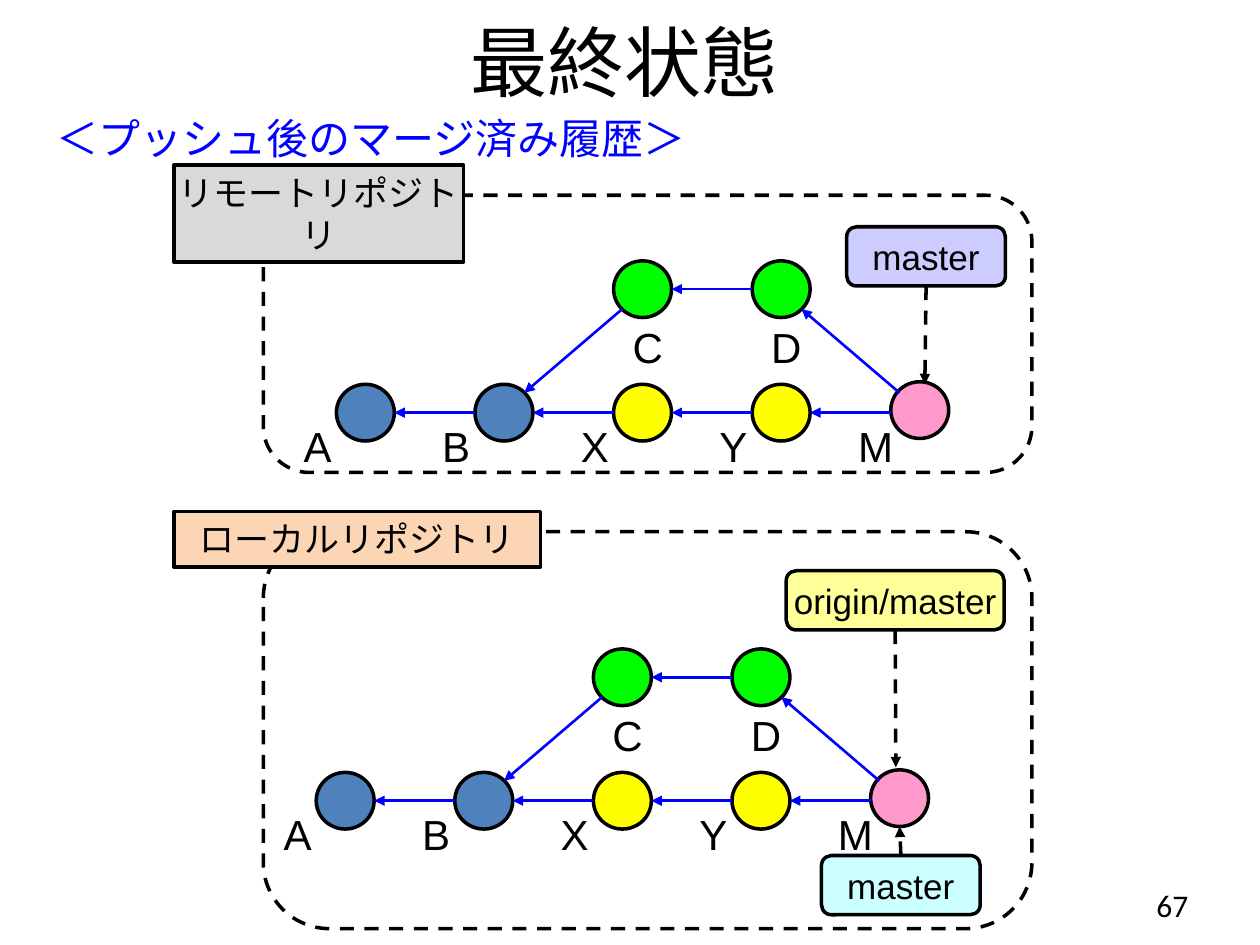
from pptx import Presentation
from pptx.dml.color import RGBColor
from pptx.enum.dml import MSO_LINE
from pptx.enum.shapes import MSO_CONNECTOR, MSO_SHAPE
from pptx.enum.text import MSO_ANCHOR as ANCHOR, PP_ALIGN as ALIGN
from pptx.oxml.ns import qn
from pptx.util import Inches, Pt
from lxml.etree import SubElement

# The slide is a grid of 100 columns by 75 rows of square cells.
CELL = Inches(0.1)
BLACK, BLUE = "000000", "0000FF"

# Commit graph, measured from the top left of commit A
PITCH, RISE = 11, 9.8
CIRCLE_WIDTH, CIRCLE_HEIGHT = 4.6, 4.5
DIAGONAL = 0.7  # share of the radius at 45 degrees
COMMITS = {  # name: (column, row, fill)
    "A": (0, 0, "4F81BD"), "B": (1, 0, "4F81BD"),
    "X": (2, 0, "FFFF00"), "Y": (3, 0, "FFFF00"),
    "C": (2, -1, "00FF00"), "D": (3, -1, "00FF00"),
    "M": (4, 0, "FF99CC"),
}
PARENTS = ["BA", "XB", "YX", "MY", "DC", "CB", "MD"]  # child, then parent


def cells(*values):
    return [round(value * CELL) for value in values]


def color(hex_string):
    return RGBColor.from_string(hex_string)


def write(shape, text, size, font="Arial", ink=BLACK, align=ALIGN.LEFT,
          anchor=ANCHOR.TOP, margins=(1, 0.5), wrap=True):
    frame = shape.text_frame
    frame.text = text
    frame.word_wrap = wrap
    frame.vertical_anchor = anchor
    frame.margin_left = frame.margin_right = cells(margins[0])[0]
    frame.margin_top = frame.margin_bottom = cells(margins[1])[0]
    paragraph = frame.paragraphs[0]
    paragraph.alignment = align
    run_font = paragraph.runs[0].font
    run_font.name, run_font.size = font, Pt(size)
    run_font.color.rgb = color(ink)


def add_text(slide, box, text, size, **style):
    write(slide.shapes.add_textbox(*cells(*box)), text, size, **style)


def add_outlined(slide, kind, box, fill=None):
    shape = slide.shapes.add_shape(kind, *cells(*box))
    shape.shadow.inherit = False
    if fill:
        shape.fill.solid()
        shape.fill.fore_color.rgb = color(fill)
    else:
        shape.fill.background()
    shape.line.color.rgb = color(BLACK)
    shape.line.width = Pt(2)
    return shape


def add_arrow(slide, start, end, ink=BLUE, width=1.5, dashed=False):
    arrow = slide.shapes.add_connector(
        MSO_CONNECTOR.STRAIGHT, *cells(*start, *end))
    arrow.line.color.rgb = color(ink)
    arrow.line.width = Pt(width)
    if dashed:
        arrow.line.dash_style = MSO_LINE.DASH
    SubElement(arrow.line._get_or_add_ln(), qn("a:tailEnd"), type="triangle")
    SubElement(arrow._element.spPr, qn("a:effectLst"))
    return arrow


def add_heading(slide):
    add_text(slide, (3.9, 0, 91.4, 9.7), "最終状態", 44, font="Calibri",
             align=ALIGN.CENTER, anchor=ANCHOR.MIDDLE)
    add_text(slide, (3.5, 8.4, 61.4, 5), "＜プッシュ後のマージ済み履歴＞", 24,
             font="Calibri", ink=BLUE)


def add_page_number(slide):
    add_text(slide, (72, 69.8, 23.3, 4), "67", 18, font="Calibri",
             align=ALIGN.RIGHT, anchor=ANCHOR.MIDDLE)


def add_repository(slide, frame_box, tag_box, name, fill):
    """Dashed frame with a name tag over its top left corner."""
    frame = add_outlined(slide, MSO_SHAPE.ROUNDED_RECTANGLE, frame_box)
    frame.line.dash_style = MSO_LINE.DASH
    tag = add_outlined(slide, MSO_SHAPE.RECTANGLE, tag_box, fill)
    write(tag, name, 20, align=ALIGN.CENTER, margins=(0.2, 0.5))


def add_commit_graph(slide, left, top):
    """Commits, their letters and the arrows from child to parent."""
    radius_x, radius_y = CIRCLE_WIDTH / 2, CIRCLE_HEIGHT / 2
    centers = {}
    for name, (column, row, fill) in COMMITS.items():
        x, y = left + column * PITCH, top + row * RISE
        centers[name] = x + radius_x, y + radius_y
        lift = 0.2 if name == "M" else 0
        add_outlined(slide, MSO_SHAPE.OVAL,
                     (x, y - lift, CIRCLE_WIDTH, CIRCLE_HEIGHT), fill)
        # Letters sit at the lower left, or below on the upper row
        letter_x, letter_y = (1.5, 4.8) if row else (-2.6, 2.9)
        add_text(slide, (x + letter_x, y + letter_y, 3.2, 4), name, 24,
                 margins=(0, 0))

    for child, parent in PARENTS:
        (x1, y1), (x2, y2) = centers[child], centers[parent]
        slope = (y2 > y1) - (y2 < y1)
        reach = DIAGONAL if slope else 1
        dx, dy = radius_x * reach, radius_y * reach * slope
        add_arrow(slide, (x1 - dx, y1 + dy), (x2 + dx, y2 - dy))


def add_branch(slide, box, name, fill, target, side):
    """Branch label whose given side (0 top, 2 bottom) points at a commit."""
    label = add_outlined(slide, MSO_SHAPE.ROUNDED_RECTANGLE, box, fill)
    write(label, name, 20, align=ALIGN.CENTER, anchor=ANCHOR.MIDDLE,
          wrap=False)
    pointer = add_arrow(slide, target, target, BLACK, 2, dashed=True)
    pointer.begin_connect(label, side)


def main():
    presentation = Presentation()
    presentation.slide_width, presentation.slide_height = cells(100, 75)
    slide = presentation.slides.add_slide(presentation.slide_layouts[6])

    add_heading(slide)

    # Remote repository
    add_repository(slide, (20.9, 15.5, 61, 22), (13.8, 13.1, 23, 7.7),
                   "リモートリポジトリ", "D9D9D9")
    add_commit_graph(slide, 26.7, 30.5)
    add_branch(slide, (67.2, 18, 12.6, 4.7), "master", "CCCCFF",
               (73.4, 30.5), 2)

    # Local repository
    add_repository(slide, (20.9, 42.2, 61, 31.5), (13.8, 40.6, 29.1, 4.4),
                   "ローカルリポジトリ", "FCD5B5")
    add_commit_graph(slide, 25.1, 61.3)
    add_branch(slide, (62.4, 45.3, 17.3, 4.7), "origin/master", "FFFF99",
               (71.1, 60.9), 2)
    add_branch(slide, (65.2, 67.9, 12.6, 4.7), "master", "CCFFFF",
               (71.4, 65.6), 0)

    add_page_number(slide)
    presentation.save("out.pptx")


if __name__ == "__main__":
    main()
